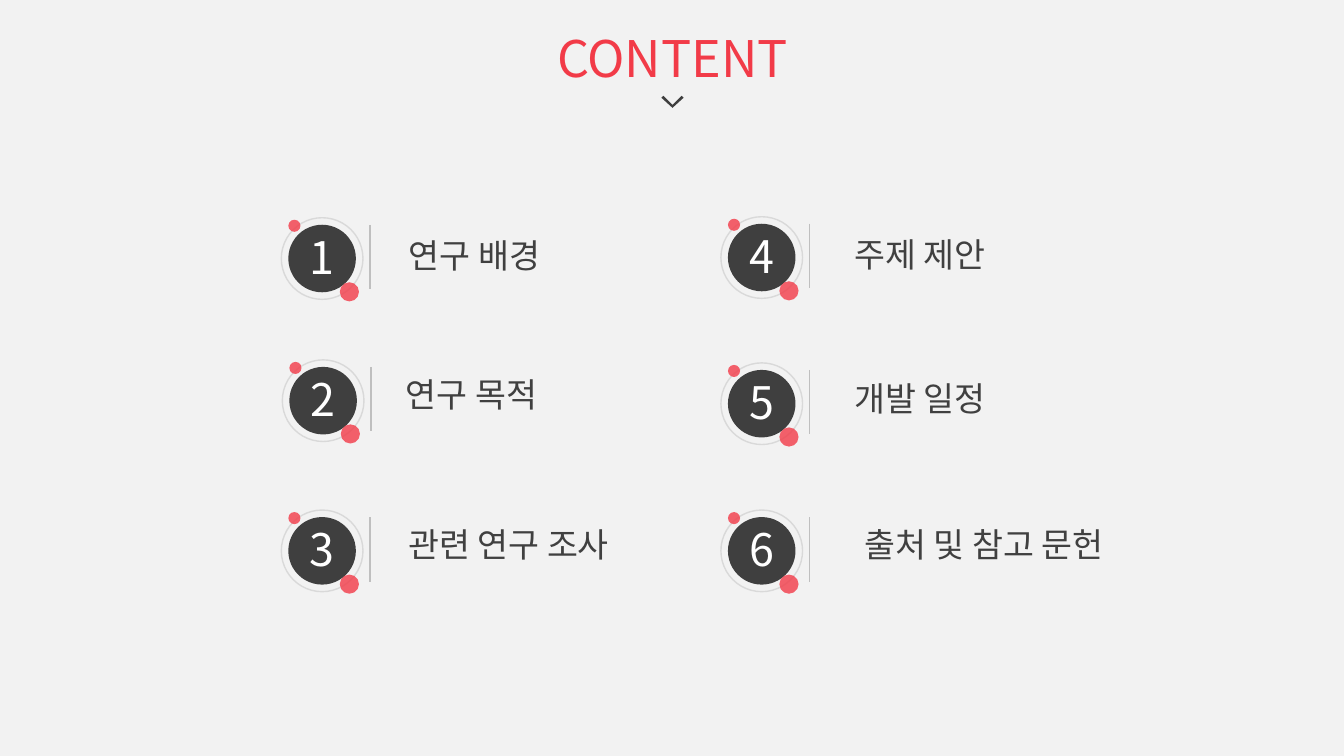
import pptx
import pptx.util
import pptx.dml.color
import pptx.enum.shapes
import pptx.enum.text
import pptx.oxml
import pptx.oxml.ns
import lxml.etree

Inches = pptx.util.Inches
OVAL = pptx.enum.shapes.MSO_SHAPE.OVAL
LINE = pptx.enum.shapes.MSO_CONNECTOR.STRAIGHT
qn = pptx.oxml.ns.qn
DARK, RED = "3F3F3F", "F23B48"


def paint(color, code):
    color.rgb = pptx.dml.color.RGBColor.from_string(code)


def write(shape, text, size, font, code):
    frame = shape.text_frame
    frame.text = text
    frame.word_wrap = True
    frame.auto_size = pptx.enum.text.MSO_AUTO_SIZE.NONE
    frame.vertical_anchor = pptx.enum.text.MSO_ANCHOR.MIDDLE
    frame.margin_left = frame.margin_right = frame.margin_top = 0
    frame.margin_bottom = Inches(0.04)
    para = frame.paragraphs[0]
    para.alignment = pptx.enum.text.PP_ALIGN.CENTER
    run = para.runs[0]
    run.font.size = pptx.util.Pt(size)
    run.font.name = font
    paint(run.font.color, code)
    # East Asian letters take the same font
    east = lxml.etree.SubElement(run.font._element, qn("a:ea"))
    east.set("typeface", font)


deck = pptx.Presentation()
deck.slide_width, deck.slide_height = Inches(13.33), Inches(7.5)
slide = deck.slides.add_slide(deck.slide_layouts[5])
back = slide.background.fill
back.solid()
paint(back.fore_color, "F2F2F2")

# Title
title = slide.shapes.title
title.left, title.top = Inches(5.24), Inches(0.23)
title.width, title.height = Inches(2.86), Inches(0.71)
write(title, "CONTENT", 36, "Noto Sans CJK SC", RED)

# Chevron under the title
edge = [(6.76, 0.95), (6.78, 0.97), (6.67, 1.07),
        (6.56, 0.97), (6.58, 0.95), (6.67, 1.04)]
edge = [(Inches(x), Inches(y)) for x, y in edge]
pen = slide.shapes.build_freeform(*edge[0])
pen.add_line_segments(edge[1:], close=True)
arrow = pen.convert_to_shape()
arrow.shadow.inherit = False
arrow.fill.solid()
paint(arrow.fill.fore_color, DARK)
arrow.line.fill.background()

# Topics: badge left and top, label left, top and width
topics = [
    ("연구 배경", 2.86, 2.23, 3.47, 2.3, 2.47),
    ("연구 목적", 2.87, 3.64, 3.44, 3.68, 2.47),
    ("관련 연구 조사", 2.86, 5.13, 3.81, 5.17, 2.47),
    ("주제 제안", 7.22, 2.22, 7.89, 2.29, 2.47),
    ("개발 일정", 7.22, 3.67, 7.89, 3.72, 2.47),
    ("출처 및 참고 문헌", 7.22, 5.13, 8.24, 5.17, 3.04),
]
# Badge circles: offset from the badge, size, fill, opacity
rounds = [
    (0, 0, 0.67, DARK, 100),
    (-0.07, -0.07, 0.81, None, 100),
    (0.51, 0.57, 0.19, RED, 80),
    (0, -0.05, 0.12, RED, 80),
]

for num, (text, x, y, left, top, width) in enumerate(topics, 1):
    badge = slide.shapes.add_group_shape().shapes
    for dx, dy, size, code, alpha in rounds:
        disc = badge.add_shape(OVAL, Inches(x + dx), Inches(y + dy),
                               Inches(size), Inches(size))
        disc.shadow.inherit = False
        if code is None:
            disc.fill.background()
            paint(disc.line.color, "D9D9D9")
            disc.line.width = pptx.util.Pt(1)
            continue
        disc.fill.solid()
        paint(disc.fill.fore_color, code)
        disc.line.fill.background()
        if code == DARK:
            write(disc, str(num), 32, "Noto Sans CJK SC", "FFFFFF")
        if alpha < 100:
            tint = disc._element.spPr.find(".//" + qn("a:srgbClr"))
            lxml.etree.SubElement(tint, qn("a:alpha")).set("val", str(alpha * 1000))

    # Divider
    rule = badge.add_connector(LINE, Inches(x + 0.81), Inches(y),
                               Inches(x + 0.81), Inches(y + 0.64))
    paint(rule.line.color, "BFBFBF")
    rule.line.width = pptx.util.Pt(1)
    lxml.etree.SubElement(rule._element.spPr, qn("a:effectLst"))

    # Label
    label = slide.shapes.add_textbox(Inches(left), Inches(top),
                                     Inches(width), Inches(0.5))
    write(label, text, 24, "Noto Sans CJK KR", "404040")

deck.save("out.pptx")
